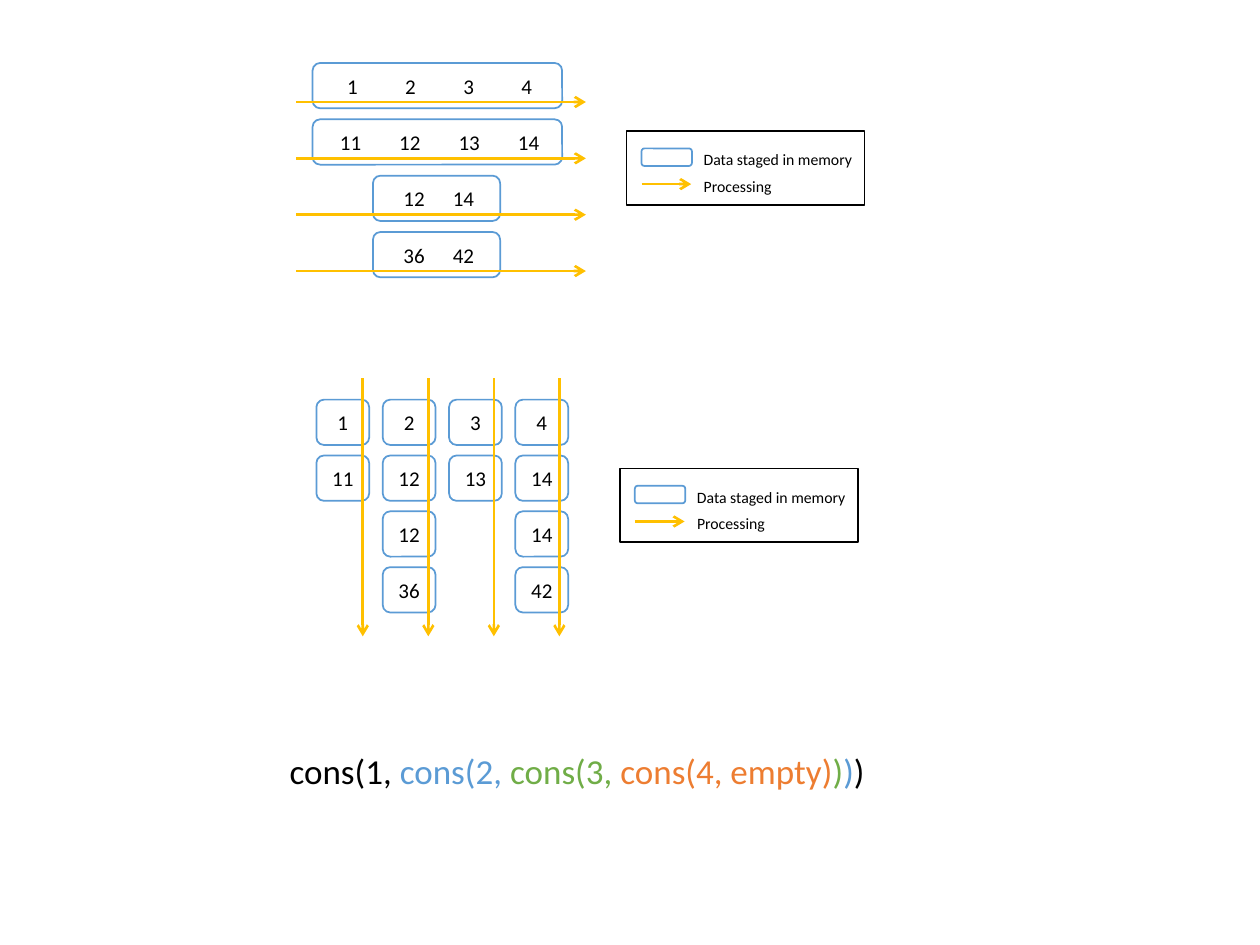
from dataclasses import dataclass

from lxml.etree import SubElement
from pptx import Presentation
from pptx.dml.color import RGBColor
from pptx.enum.shapes import MSO_CONNECTOR as Link, MSO_SHAPE as Kind
from pptx.enum.text import MSO_ANCHOR as Anchor, MSO_AUTO_SIZE as Fit, PP_ALIGN as Align
from pptx.oxml.ns import qn
from pptx.util import Pt

BLACK = RGBColor(0x00, 0x00, 0x00)
WHITE = RGBColor(0xFF, 0xFF, 0xFF)
BLUE = RGBColor(0x5B, 0x9B, 0xD5)
GOLD = RGBColor(0xFF, 0xC0, 0x00)
GREEN = RGBColor(0x70, 0xAD, 0x47)
ORANGE = RGBColor(0xED, 0x7D, 0x31)
FONT = "Calibri"
BOX_H = 25.9


@dataclass
class Row:
    items: list[str]
    left: float
    width: float
    gap: float


@dataclass
class Column:
    items: list[str]


@dataclass
class Legend:
    left: float
    top: float


ROWS = [
    Row(["1", "2", "3", "4"], 178.6, 142.6, 33.2),
    Row(["11", "12", "13", "14"], 178.6, 142.6, 33.9),
    Row(["12", "14"], 213.1, 72.7, 28.2),
    Row(["36", "42"], 213.1, 72.7, 28.2),
]
COLUMNS = [
    Column(["1", "11"]),
    Column(["2", "12", "12", "36"]),
    Column(["3", "13"]),
    Column(["4", "14", "14", "42"]),
]
LEGENDS = [Legend(358, 75), Legend(354.2, 267.8)]
CONS = [
    ("cons(1, ", BLACK), ("cons(2, ", BLUE), ("cons(3, ", GREEN),
    ("cons(4, empty)", ORANGE), (")", GREEN), (")", BLUE), (")", BLACK),
]


def write(shape, runs, *, size: float, align=Align.LEFT, anchor=Anchor.TOP,
          wrap: bool = True, fit=Fit.NONE, inset: float | None = None, tabs=()) -> None:
    """Put coloured runs into a shape, with optional centred tab stops."""
    frame = shape.text_frame
    frame.word_wrap = wrap
    frame.auto_size = fit
    frame.vertical_anchor = anchor
    if inset is not None:
        frame.margin_left = frame.margin_right = Pt(inset)
    para = frame.paragraphs[0]
    para.alignment = align
    if tabs:
        stops = SubElement(para._p.get_or_add_pPr(), qn("a:tabLst"))
        for pos in tabs:
            SubElement(stops, qn("a:tab"), pos=str(int(Pt(pos))), algn="ctr")
    for text, color in runs:
        run = para.add_run()
        run.text = text
        run.font.name = FONT
        run.font.size = Pt(size)
        run.font.color.rgb = color


def box(slide, left: float, top: float, width: float, height: float,
        kind=Kind.ROUNDED_RECTANGLE, color: RGBColor = BLUE):
    shape = slide.shapes.add_shape(kind, Pt(left), Pt(top), Pt(width), Pt(height))
    shape.shadow.inherit = False
    shape.fill.solid()
    shape.fill.fore_color.rgb = WHITE
    shape.line.color.rgb = color
    shape.line.width = Pt(1)
    return shape


def label(slide, left: float, top: float, width: float, height: float, runs, **style) -> None:
    area = slide.shapes.add_textbox(Pt(left), Pt(top), Pt(width), Pt(height))
    write(area, runs, fit=Fit.SHAPE_TO_FIT_TEXT, **style)


def arrow(slide, x1: float, y1: float, x2: float, y2: float) -> None:
    link = slide.shapes.add_connector(Link.STRAIGHT, Pt(x1), Pt(y1), Pt(x2), Pt(y2))
    link.line.color.rgb = GOLD
    link.line.width = Pt(1.5)
    SubElement(link.line._get_or_add_ln(), qn("a:tailEnd"), type="arrow")
    SubElement(link._element.spPr, qn("a:effectLst"))


def draw_row(slide, row: Row, top: float) -> None:
    shape = box(slide, row.left, top, row.width, BOX_H)
    first = (row.width - (len(row.items) - 1) * row.gap) / 2
    tabs = [first + i * row.gap for i in range(len(row.items))]
    text = "".join("\t" + item for item in row.items)
    write(shape, [(text, BLACK)], size=12, anchor=Anchor.MIDDLE, inset=0, tabs=tabs)
    arrow(slide, 169.2, top + 22.3, 334.8, top + 22.3)


def draw_column(slide, column: Column, left: float) -> None:
    for i, item in enumerate(column.items):
        cell = box(slide, left, 228.4 + 31.9 * i, 30.2, BOX_H)
        write(cell, [(item, BLACK)], size=12, align=Align.CENTER,
              anchor=Anchor.MIDDLE, inset=0)


def draw_legend(slide, legend: Legend) -> None:
    left, top = legend.left, legend.top
    box(slide, left, top, 136, 42, Kind.RECTANGLE, BLACK)
    box(slide, left + 8.6, top + 9.8, 28.8, 10)
    arrow(slide, left + 8.6, top + 30.2, left + 37, top + 30.2)
    label(slide, left + 37, top + 7.1, 100.8, 18,
          [("Data staged in memory", BLACK)], size=9, wrap=False)
    label(slide, left + 37, top + 22.2, 54, 18,
          [("Processing", BLACK)], size=9, wrap=False)


def main() -> None:
    deck = Presentation()
    deck.slide_width, deck.slide_height = Pt(720), Pt(540)
    slide = deck.slides.add_slide(deck.slide_layouts[6])

    # Keys to the two diagrams
    for legend in LEGENDS:
        draw_legend(slide, legend)

    # Whole lists, processed row by row
    for i, row in enumerate(ROWS):
        draw_row(slide, row, 36 + 32.2 * i)

    # Single items, processed column by column
    for i, column in enumerate(COLUMNS):
        draw_column(slide, column, 180.8 + 37.9 * i)
    for i in range(len(COLUMNS)):
        x = 207.3 + 37.45 * i
        arrow(slide, x, 216, x, 363.6)

    # Nested list expression
    label(slide, 158.4, 424.8, 347.8, 31.7, CONS, size=20)
    deck.save("out.pptx")


if __name__ == "__main__":
    main()
